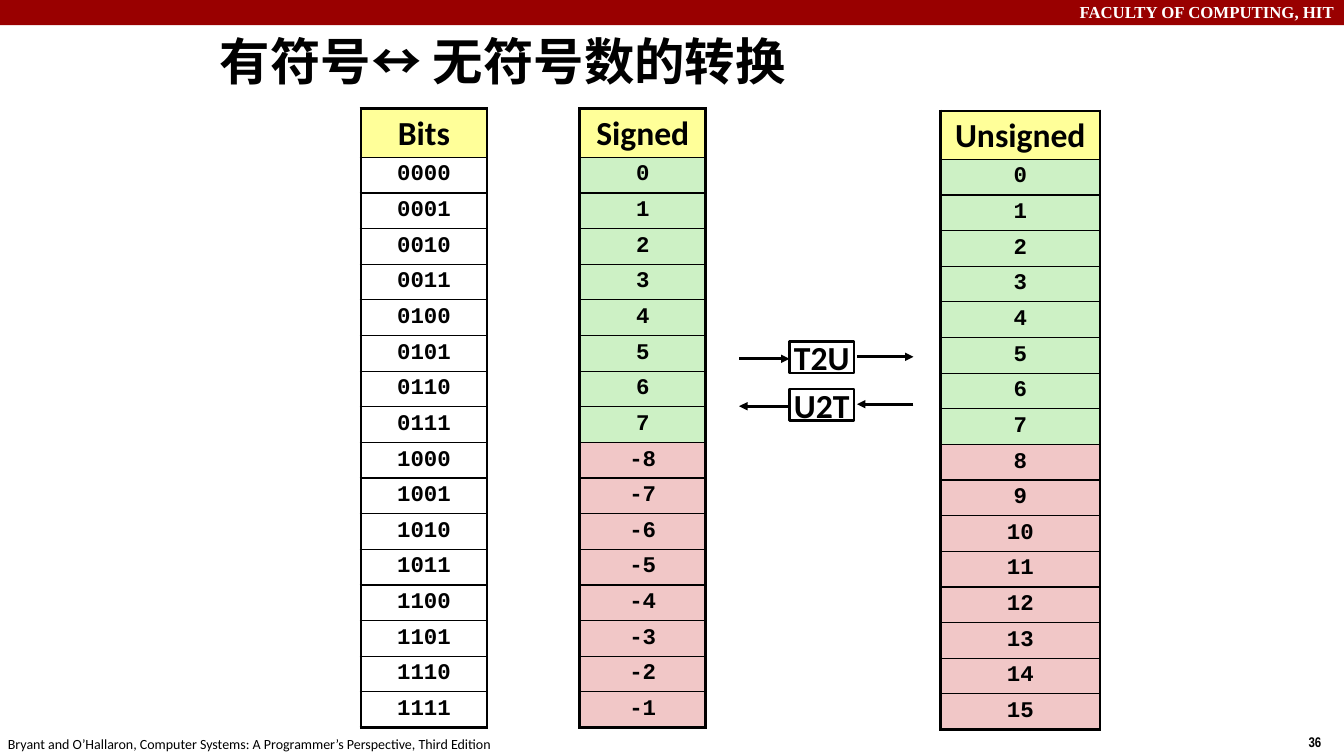
from lxml import etree
from pptx import Presentation, util as u
from pptx.dml.color import RGBColor
from pptx.enum import shapes, text
from pptx.oxml import ns

PX = 9144  # 100 px to the inch
BLACK, WHITE, RED = "000000", "FFFFFF", "990000"
YELLOW, GREEN, PINK = "FFFF99", "CDF1C5", "F1C7C7"
LEFT, CENTER, RIGHT = text.PP_ALIGN.LEFT, text.PP_ALIGN.CENTER, text.PP_ALIGN.RIGHT


def rgb(value):
    return RGBColor.from_string(value)


def write(tf, words, size, font, color=BLACK, bold=True, align=LEFT):
    tf.text = words
    p = tf.paragraphs[0]
    p.alignment = align
    f = p.runs[0].font
    f.size, f.name, f.bold = u.Pt(size), font, bold
    f.color.rgb = rgb(color)
    return p


prs = Presentation()
prs.slide_width, prs.slide_height = 1333 * PX, 750 * PX
s = prs.slides.add_slide(prs.slide_layouts[5])

# Header bar
bar = s.shapes.add_shape(shapes.MSO_SHAPE.RECTANGLE, 0, 0, 1333 * PX, 25 * PX)
bar.shadow.inherit = False
bar.fill.solid()
bar.fill.fore_color.rgb = rgb(RED)
bar.line.fill.background()

# Header, page number and footer
for x, y, w, h, words, size, font, color, bold, align, wrap in (
    (0, -3, 1333, 30, "FACULTY OF COMPUTING, HIT", 12, "Times New Roman", WHITE, True, RIGHT, True),
    (1288, 723, 34, 27, "36", 10, "Arial Narrow", BLACK, True, LEFT, False),
    (-2, 725, 508, 27, "Bryant and O’Hallaron, Computer Systems: A Programmer’s Perspective, Third Edition",
     10, "Calibri", BLACK, False, LEFT, False),
):
    tf = s.shapes.add_textbox(x * PX, y * PX, w * PX, h * PX).text_frame
    tf.word_wrap = wrap
    write(tf, words, size, font, color, bold, align)

# Title
title = s.shapes.title
title.left, title.top, title.width, title.height = 211 * PX, 27 * PX, 585 * PX, 66 * PX
tf = title.text_frame
write(tf, "有符号↔ 无符号数的转换", 36, "Calibri")
tf.auto_size, tf.word_wrap = text.MSO_AUTO_SIZE.NONE, False
tf.vertical_anchor = text.MSO_ANCHOR.MIDDLE
tf.margin_left = tf.margin_right = 7 * PX
tf.margin_top = tf.margin_bottom = 3 * PX

# One table per number reading: header, 16 values, outer frame thicker than inner rules
bits = [f"{n:04b}" for n in range(16)]
signed = [n if n < 8 else n - 16 for n in range(16)]
for x, y, w, heading, values, fills in (
    (575, 108, 125, "Signed", signed, (GREEN, PINK)),
    (933, 110, 158, "Unsigned", range(16), (GREEN, PINK)),
    (358, 108, 125, "Bits", bits, None),
):
    tbl = s.shapes.add_table(17, 1, x * PX, y * PX, w * PX, 569 * PX).table
    tbl.first_row = tbl.horz_banding = False
    for i, value in enumerate([heading, *values]):
        tbl.rows[i].height = (33 if i else 41) * PX
        cell = tbl.cell(i, 0)
        cell.margin_left = cell.margin_right = cell.margin_top = cell.margin_bottom = 5 * PX
        size, font = (16, "Courier New") if i else (24, "Calibri")
        p = write(cell.text_frame, str(value), size, font, align=CENTER)
        p.line_spacing = 0.95

        # Cell borders come before the fill
        tc_pr = cell._tc.get_or_add_tcPr()
        top, bottom = 2.25 if i == 0 else 1, 2.25 if i == 16 else 1
        for side, width in (("lnL", 2.25), ("lnR", 2.25), ("lnT", top), ("lnB", bottom)):
            ln = etree.SubElement(tc_pr, ns.qn(f"a:{side}"), w=str(u.Pt(width)))
            solid = etree.SubElement(ln, ns.qn("a:solidFill"))
            etree.SubElement(solid, ns.qn("a:srgbClr"), val=BLACK)
        if i and not fills:
            cell.fill.background()
        else:
            cell.fill.solid()
            cell.fill.fore_color.rgb = rgb(fills[i > 8] if i else YELLOW)

# Conversion boxes, each with an arrow in and an arrow out
for y, words, rightward in ((386, "U2T", False), (339, "T2U", True)):
    box = s.shapes.add_shape(shapes.MSO_SHAPE.RECTANGLE, 783 * PX, y * PX, 64 * PX, 31 * PX)
    box.shadow.inherit = False
    box.fill.solid()
    box.fill.fore_color.rgb = rgb(WHITE)
    box.line.color.rgb = rgb(BLACK)
    box.line.width = u.Pt(2)
    tf = box.text_frame
    write(tf, words, 24, "Calibri", align=CENTER)
    tf.word_wrap = False
    tf.vertical_anchor = text.MSO_ANCHOR.MIDDLE

    for x1, x2, dy in ((733, 783, 17), (850, 906, 15)):
        start, end = (x1, x2) if rightward else (x2, x1)
        arrow = s.shapes.add_connector(shapes.MSO_CONNECTOR.STRAIGHT,
                                       start * PX, (y + dy) * PX, end * PX, (y + dy) * PX)
        arrow.line.color.rgb = rgb(BLACK)
        arrow.line.width = u.Pt(2)
        etree.SubElement(arrow.line._get_or_add_ln(), ns.qn("a:tailEnd"), type="triangle")
        etree.SubElement(arrow._element.spPr, ns.qn("a:effectLst"))

prs.save("out.pptx")
